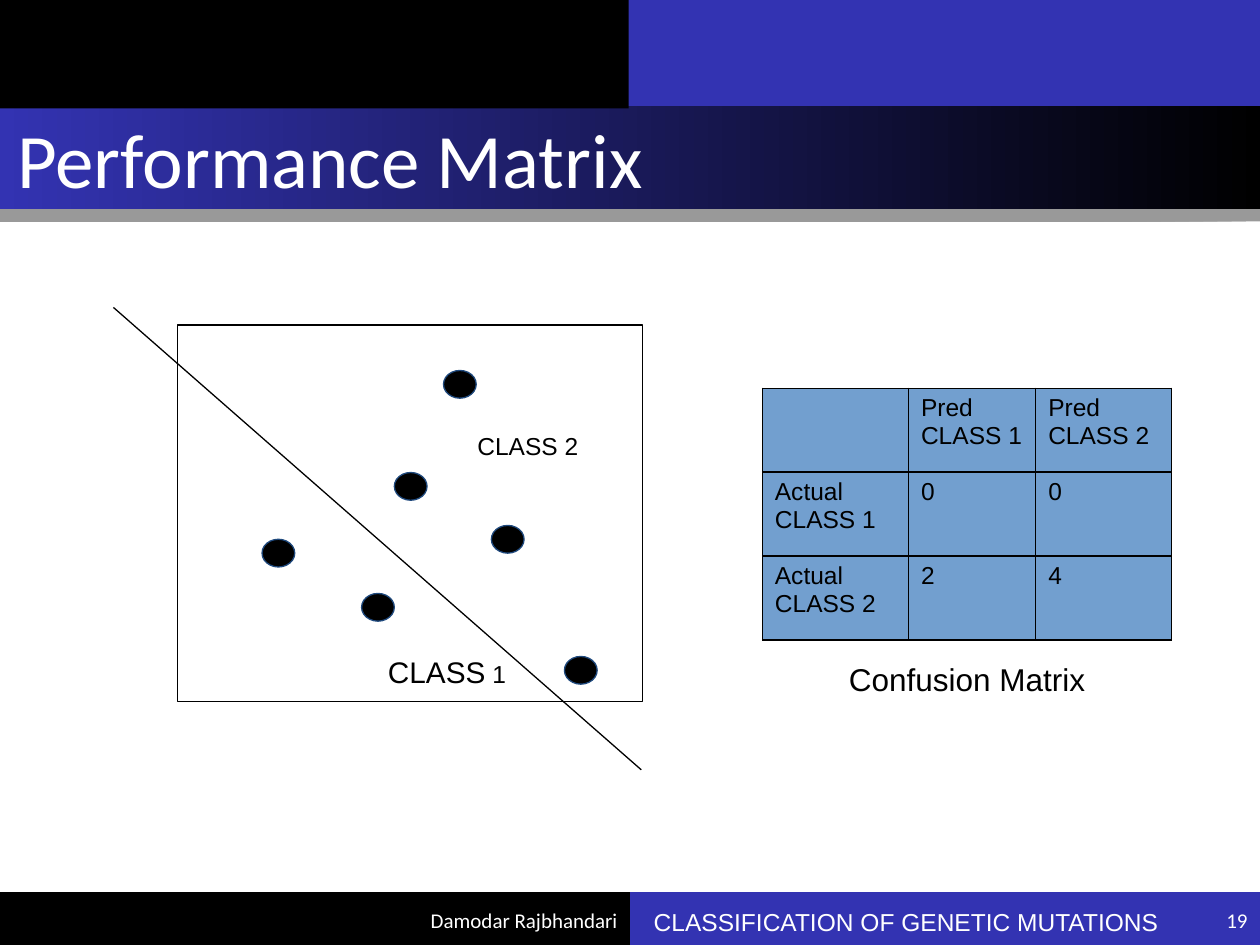
from lxml.etree import SubElement
from pptx import Presentation
from pptx.dml.color import RGBColor
from pptx.enum.shapes import MSO_CONNECTOR, MSO_SHAPE
from pptx.enum.text import MSO_ANCHOR, PP_ALIGN
from pptx.oxml import parse_xml
from pptx.oxml.ns import nsdecls, qn
from pptx.util import Inches, Pt

BLACK = RGBColor(0x00, 0x00, 0x00)
WHITE = RGBColor(0xFF, 0xFF, 0xFF)
INDIGO = RGBColor(0x33, 0x33, 0xB2)
NAVY = RGBColor(0x1F, 0x49, 0x7D)
SKY = RGBColor(0x72, 0x9F, 0xCF)
THIN = Pt(0.74)

deck = Presentation()
deck.slide_width, deck.slide_height = Inches(10), Inches(7.5)
COLUMN = deck.slide_width / 100
ROW = deck.slide_height / 75
page = deck.slides.add_slide(deck.slide_layouts[6])


def grid(left, top, width, height):
    return [round(size) for size in (left * COLUMN, top * ROW, width * COLUMN, height * ROW)]


def add_text(area, spans, font, color, align=PP_ALIGN.LEFT, anchor=MSO_ANCHOR.TOP, margin=0.1):
    frame = page.shapes.add_textbox(*grid(*area)).text_frame
    frame.word_wrap = True
    frame.vertical_anchor = anchor
    frame.margin_top = frame.margin_bottom = Inches(margin)
    para = frame.paragraphs[0]
    para.alignment = align
    para.font.name = font
    para.font.color.rgb = color
    for words, size in spans:
        span = para.add_run()
        span.text = words
        span.font.size = Pt(size)


panels = [
    ((50, 70.8, 50, 4.2), INDIGO),
    ((0, 70.8, 50, 4.2), BLACK),
    ((0, 8.3, 100, 8.3), None),
    ((49.2, -0.1, 50.8, 8.5), INDIGO),
    ((-0.1, -0.1, 50, 8.7), BLACK),
]
for area, color in panels:
    panel = page.shapes.add_shape(MSO_SHAPE.RECTANGLE, *grid(*area))
    panel.line.fill.background()
    panel.shadow.inherit = False
    if color is not None:
        panel.fill.solid()
        panel.fill.fore_color.rgb = color
        continue
    panel.fill.gradient()
    panel.fill.gradient_angle = 180
    for stop, shade in zip(panel.fill.gradient_stops, (BLACK, INDIGO)):
        stop.color.rgb = shade
    effects = panel.element.spPr.find(qn("a:effectLst"))
    effects.append(parse_xml(
        f'<a:outerShdw {nsdecls("a")} blurRad="0" dist="{Pt(7)}" dir="5400000" rotWithShape="0">'
        f'<a:srgbClr val="{BLACK}"><a:alpha val="40000"/></a:srgbClr></a:outerShdw>'
    ))

banner_texts = [
    ((11.7, 71, 38.3, 4), "Damodar Rajbhandari", 12, PP_ALIGN.RIGHT),
    ((0.4, 8.5, 98.5, 8.1), "Performance Matrix", 44, PP_ALIGN.LEFT),
    ((88.3, 71, 11.7, 4), "19", 12, PP_ALIGN.RIGHT),
]
for area, words, size, align in banner_texts:
    add_text(area, [(words, size)], "Calibri", WHITE, align, MSO_ANCHOR.MIDDLE, 0.05)

plot = page.shapes.add_shape(MSO_SHAPE.RECTANGLE, *grid(14.1, 25.8, 36.9, 29.9))
plot.shadow.inherit = False
plot.fill.solid()
plot.fill.fore_color.rgb = WHITE
plot.line.color.rgb = BLACK
plot.line.width = THIN

boundary = page.shapes.add_connector(MSO_CONNECTOR.STRAIGHT, *grid(9, 24.4, 50.9, 61.1))
boundary.line.color.rgb = BLACK
boundary.line.width = THIN
SubElement(boundary.element.spPr, qn("a:effectLst"))

samples = [(35.2, 29.4), (39, 41.7), (20.8, 42.8), (28.7, 47.1), (44.8, 52.1), (31.3, 37.5)]
for left, top in samples:
    dot = page.shapes.add_shape(MSO_SHAPE.OVAL, *grid(left, top, 2.6, 2.2))
    dot.shadow.inherit = False
    dot.fill.solid()
    dot.fill.fore_color.rgb = BLACK
    dot.line.color.rgb = NAVY
    dot.line.width = THIN

add_text((29.8, 50.9, 19.4, 8.1), [("CLASS", 17), (" 1", 14)], "Arial", BLACK)
add_text((36.9, 33.2, 15.7, 6.9), [("CLASS 2", 14)], "Arial", BLACK)

confusion = [
    ["", "Pred\nCLASS 1", "Pred\nCLASS 2"],
    ["Actual CLASS 1", "0", "0"],
    ["Actual CLASS 2", "2", "4"],
]
table = page.shapes.add_table(3, 3, *grid(60.5, 30.8, 32.5, 20)).table
table.first_row = table.horz_banding = False
for column, width in zip(table.columns, (11.6, 10.1, 10.8)):
    column.width = round(width * COLUMN)
for row, labels in zip(table.rows, confusion):
    row.height = round(20 / 3 * ROW)
    for cell, label in zip(row.cells, labels):
        cell.text = label
        cell.fill.solid()
        cell.fill.fore_color.rgb = SKY
        for para in cell.text_frame.paragraphs:
            para.font.name = "Arial"
            para.font.size = Pt(14)
            para.font.color.rgb = BLACK
        properties = cell._tc.get_or_add_tcPr()
        for position, side in enumerate("LRTB"):
            properties.insert(position, parse_xml(
                f'<a:ln{side} {nsdecls("a")} w="{THIN}"><a:solidFill>'
                f'<a:srgbClr val="{BLACK}"/></a:solidFill></a:ln{side}>'
            ))

add_text((50.9, 71, 46, 4), [("CLASSIFICATION OF GENETIC MUTATIONS", 14)], "Arial", WHITE)
add_text((60.5, 51.4, 32.5, 3.7), [("Confusion Matrix", 18)], "Arial", BLACK, PP_ALIGN.CENTER)

deck.save("out.pptx")
